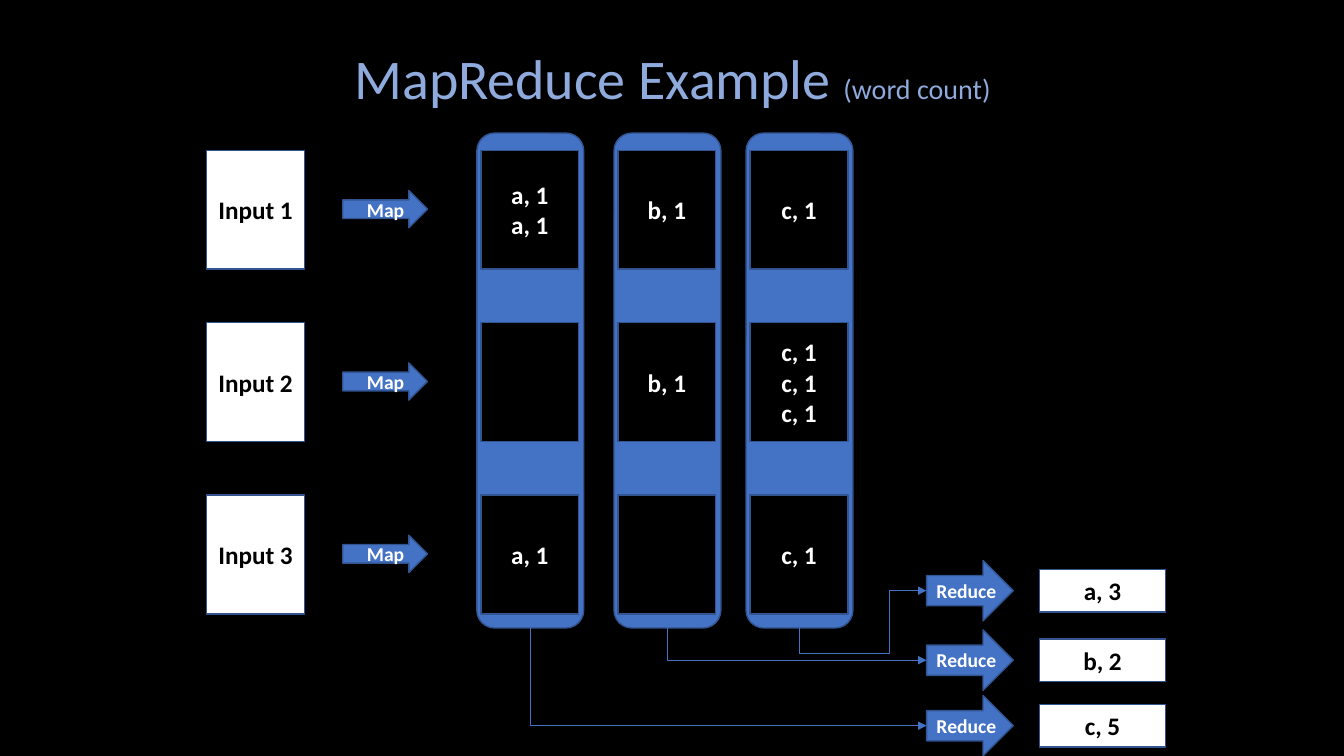
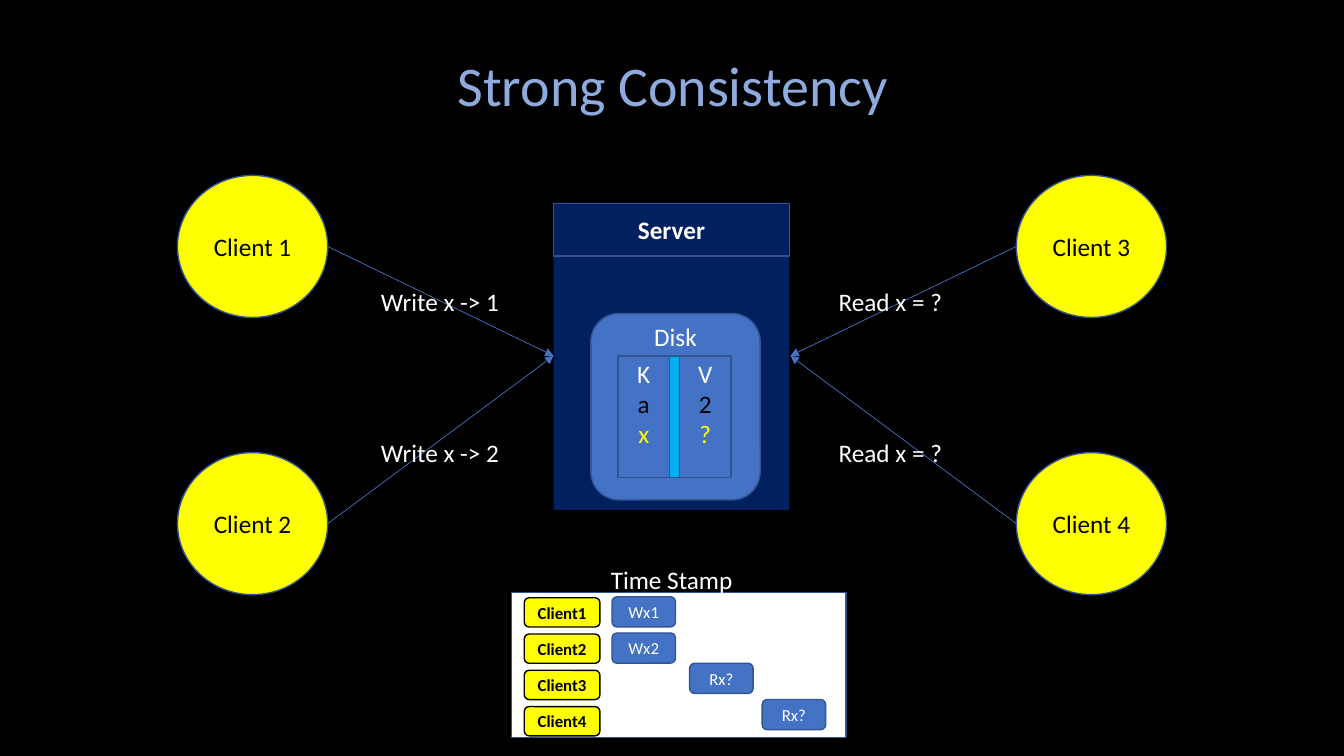
from lxml import etree
from pptx import Presentation
from pptx.dml.color import RGBColor
from pptx.enum import shapes, text
from pptx.oxml import ns
from pptx.util import Inches, Pt

BLACK, WHITE, YELLOW = "000000", "FFFFFF", "FFFF00"
BLUE, EDGE, NAVY, CYAN, TITLE = "4472C4", "325491", "002060", "00B0F0", "8FAADC"
FONT = "Calibri"
SHAPE = shapes.MSO_SHAPE
CONNECTOR = shapes.MSO_CONNECTOR
MIDDLE, TOP = text.MSO_ANCHOR.MIDDLE, text.MSO_ANCHOR.TOP
CENTER, LEFT = text.PP_ALIGN.CENTER, text.PP_ALIGN.LEFT


def color(value):
    """Turn a hex string into a colour."""
    return RGBColor.from_string(value)


def style_font(font, size, fill, bold=False):
    """Apply the shared font with its size, colour and weight."""
    font.name, font.size, font.bold = FONT, Pt(size), bold
    font.color.rgb = color(fill)


def write(frame, lines, size, colors, bold=False, align=CENTER):
    """Write one paragraph per line, cycling through the colours."""
    for index, line in enumerate(lines):
        paragraph = frame.add_paragraph() if index else frame.paragraphs[0]
        paragraph.text, paragraph.alignment = line, align
        style_font(paragraph.font, size, colors[index % len(colors)], bold)


def add_box(slide, kind, box, fill, line=EDGE, lines=(), size=18,
            colors=(WHITE,), bold=False, anchor=MIDDLE, top=0):
    """Add a filled preset shape, with text if lines are given."""
    shape = slide.shapes.add_shape(kind, *map(Inches, box))
    shape.shadow.inherit = False
    shape.fill.solid()
    shape.fill.fore_color.rgb = color(fill)
    if line:
        shape.line.color.rgb = color(line)
        shape.line.width = Pt(1)
    else:
        shape.line.fill.background()
    frame = shape.text_frame
    frame.margin_left = frame.margin_right = frame.margin_bottom = 0
    frame.margin_top = Inches(top)
    frame.vertical_anchor = anchor
    write(frame, lines, size, colors, bold)
    return shape


def add_label(slide, box, caption, size=18, bold=False):
    """Add a white one-line caption without a frame."""
    frame = slide.shapes.add_textbox(*map(Inches, box)).text_frame
    frame.word_wrap = False
    write(frame, [caption], size, (WHITE,), bold, LEFT)


def add_line(slide, kind, start, end, arrow_end):
    """Add a thin connector with a triangle at 'headEnd' or 'tailEnd'."""
    connector = slide.shapes.add_connector(kind, *map(Inches, (*start, *end)))
    connector.line.color.rgb = color(BLUE)
    connector.line.width = Pt(0.5)
    etree.SubElement(connector.line._get_or_add_ln(), ns.qn("a:" + arrow_end),
                     type="triangle")
    etree.SubElement(connector._element.spPr, ns.qn("a:effectLst"))
    return connector


def add_titled_slide(presentation, title, top, note=""):
    """Add a title-only slide, with an optional smaller note in the title."""
    slide = presentation.slides.add_slide(presentation.slide_layouts[5])
    shape = slide.shapes.title
    shape.left, shape.top, shape.width, shape.height = map(
        Inches, (2.05, top, 9.24, 0.77))
    frame = shape.text_frame
    frame.auto_size = text.MSO_AUTO_SIZE.NONE
    frame.vertical_anchor = MIDDLE
    write(frame, [title], 40, (TITLE,))
    if note:
        run = frame.paragraphs[0].add_run()
        run.text, run.font.size = note, Pt(20)
    return slide


def add_map_step(slide, left, top, number):
    """Draw one input block and its map arrow."""
    add_box(slide, SHAPE.RECTANGLE, (left, top, 0.97, 1.18), WHITE,
            lines=[f"Input {number}"], colors=(BLACK,), bold=True)
    add_box(slide, SHAPE.RIGHT_ARROW, (left + 1.35, top + 0.4, 0.84, 0.37), BLUE)
    add_label(slide, (left + 1.49, top + 0.42, 0.58, 0.34), "Map", 14, True)


def add_group_column(slide, left, top, cells, pitch):
    """Draw the column that gathers the pairs of one key."""
    column = add_box(slide, SHAPE.ROUNDED_RECTANGLE, (left, top, 1.06, 4.91), BLUE)
    for row, lines in enumerate(cells):
        add_box(slide, SHAPE.RECTANGLE,
                (left + 0.04, top + 0.17 + row * pitch, 0.97, 1.18),
                BLACK, lines=lines, bold=True)
    return column


def add_reduce_step(slide, left, middle, result):
    """Draw one reduce arrow and its result."""
    arrow = add_box(slide, SHAPE.RIGHT_ARROW, (left, middle - 0.3, 0.86, 0.6), BLUE)
    add_label(slide, (left, middle - 0.17, 0.8, 0.34), "Reduce", 14, True)
    add_box(slide, SHAPE.RECTANGLE, (left + 1.12, middle - 0.21, 1.25, 0.42),
            WHITE, lines=[result], colors=(BLACK,), bold=True)
    return arrow


def add_elbow(slide, arrow, column, start, end, preset, adjustments=()):
    """Join a reduce arrow's left side to the bottom of a column."""
    connector = add_line(slide, CONNECTOR.ELBOW, start, end, "headEnd")
    geometry = connector._element.spPr.find(ns.qn("a:prstGeom"))
    geometry.set("prst", preset)
    guides = geometry.find(ns.qn("a:avLst"))
    if guides is None:
        guides = etree.SubElement(geometry, ns.qn("a:avLst"))
    for index, value in enumerate(adjustments, 1):
        etree.SubElement(guides, ns.qn("a:gd"), name=f"adj{index}",
                         fmla=f"val {value}")
    connector.begin_connect(arrow, 1)
    connector.end_connect(column, 2)


def build_map_reduce(presentation):
    """Build the word count slide."""
    slide = add_titled_slide(presentation, "MapReduce Example ", 0.38, "(word count)")
    pitch, top, reduce_left = 1.71, 1.32, 9.19
    for row in range(3):
        add_map_step(slide, 2.05, top + 0.17 + row * pitch, row + 1)
    groups = [
        (4.73, [["a, 1"] * 2, [], ["a, 1"]]),
        (6.09, [["b, 1"], ["b, 1"], []]),
        (7.4, [["c, 1"], ["c, 1"] * 3, ["c, 1"]]),
    ]
    columns = [add_group_column(slide, left, top, cells, pitch)
               for left, cells in groups]
    results = [(7.2, "c, 5"), (6.55, "b, 2"), (5.86, "a, 3")]
    routes = [("bentConnector2", ()), ("bentConnector2", ()),
              ("bentConnector4", (29000, 169000))]
    for (left, _), column, (middle, result), route in zip(
            groups, columns, results, routes):
        arrow = add_reduce_step(slide, reduce_left, middle, result)
        add_elbow(slide, arrow, column, (reduce_left, middle),
                  (left + 0.53, top + 4.91), *route)


def add_server(slide, left, top):
    """Draw the server with its disk and key-value store."""
    add_box(slide, SHAPE.RECTANGLE, (left, top, 2.34, 3.05), NAVY, None)
    add_box(slide, SHAPE.RECTANGLE, (left, top + 0.01, 2.34, 0.52), NAVY,
            lines=["Server"], bold=True)
    add_box(slide, SHAPE.ROUNDED_RECTANGLE, (left + 0.37, top + 1.1, 1.68, 1.85),
            BLUE, lines=["Disk"], anchor=TOP)
    store_left, store_top = left + 0.64, top + 1.52
    add_box(slide, SHAPE.RECTANGLE, (store_left, store_top, 1.08, 1.21), CYAN)
    for offset, lines in ((0, "Kax"), (0.61, "V2?")):
        add_box(slide, SHAPE.RECTANGLE, (store_left + offset, store_top, 0.51, 1.21),
                BLUE, lines=lines, colors=(WHITE, BLACK, YELLOW), anchor=TOP, top=0.02)


def add_client(slide, left, top, number, target):
    """Draw a client and the arrow from its inner side to the server."""
    width, height = 1.49, 1.41
    add_box(slide, SHAPE.OVAL, (left, top, width, height), YELLOW,
            lines=[f"Client {number}"], colors=(BLACK,))
    inner = left + width if left < target[0] else left
    add_line(slide, CONNECTOR.STRAIGHT, (inner, top + height / 2), target, "tailEnd")


def add_timeline(slide, left, top):
    """Draw the time stamp panel with one row per client."""
    add_box(slide, SHAPE.RECTANGLE, (left, top, 3.32, 1.44), WHITE)
    add_label(slide, (left + 0.89, top - 0.33, 1.42, 0.4), "Time Stamp")
    events = [("Wx1", 1.0, 0.04), ("Wx2", 1.0, 0.4),
              ("Rx?", 1.77, 0.7), ("Rx?", 2.49, 1.06)]
    for row, (event, across, down) in enumerate(events):
        add_box(slide, SHAPE.ROUNDED_RECTANGLE,
                (left + 0.13, top + 0.05 + row * 0.36, 0.75, 0.29), YELLOW, BLACK,
                [f"Client{row + 1}"], 12, (BLACK,), True)
        add_box(slide, SHAPE.ROUNDED_RECTANGLE,
                (left + across, top + down, 0.63, 0.3), BLUE, lines=[event], size=12)


def build_consistency(presentation):
    """Build the strong consistency slide."""
    slide = add_titled_slide(presentation, "Strong Consistency", 0.45)
    server_left, server_top = 5.49, 2.01
    add_server(slide, server_left, server_top)
    sides = [(1.76, server_left, 3.68, 1.39, ("Write x -> 1", "Write x -> 2")),
             (10.08, server_left + 2.35, 8.22, 1.24, ("Read x = ?",) * 2)]
    for side, (left, target, label_left, label_width, captions) in enumerate(sides):
        for row, caption in enumerate(captions):
            add_client(slide, left, 1.74 + row * 2.75, side * 2 + row + 1,
                       (target, server_top + 1.52))
            add_label(slide, (label_left, 2.79 + row * 1.5, label_width, 0.4), caption)
    add_timeline(slide, 5.07, 5.88)


def main():
    """Build and save the presentation."""
    presentation = Presentation()
    presentation.slide_width, presentation.slide_height = Inches(13.33), Inches(7.5)
    background = presentation.slide_master.background.fill
    background.solid()
    background.fore_color.rgb = color(BLACK)
    build_map_reduce(presentation)
    build_consistency(presentation)
    presentation.save("out.pptx")


main()
